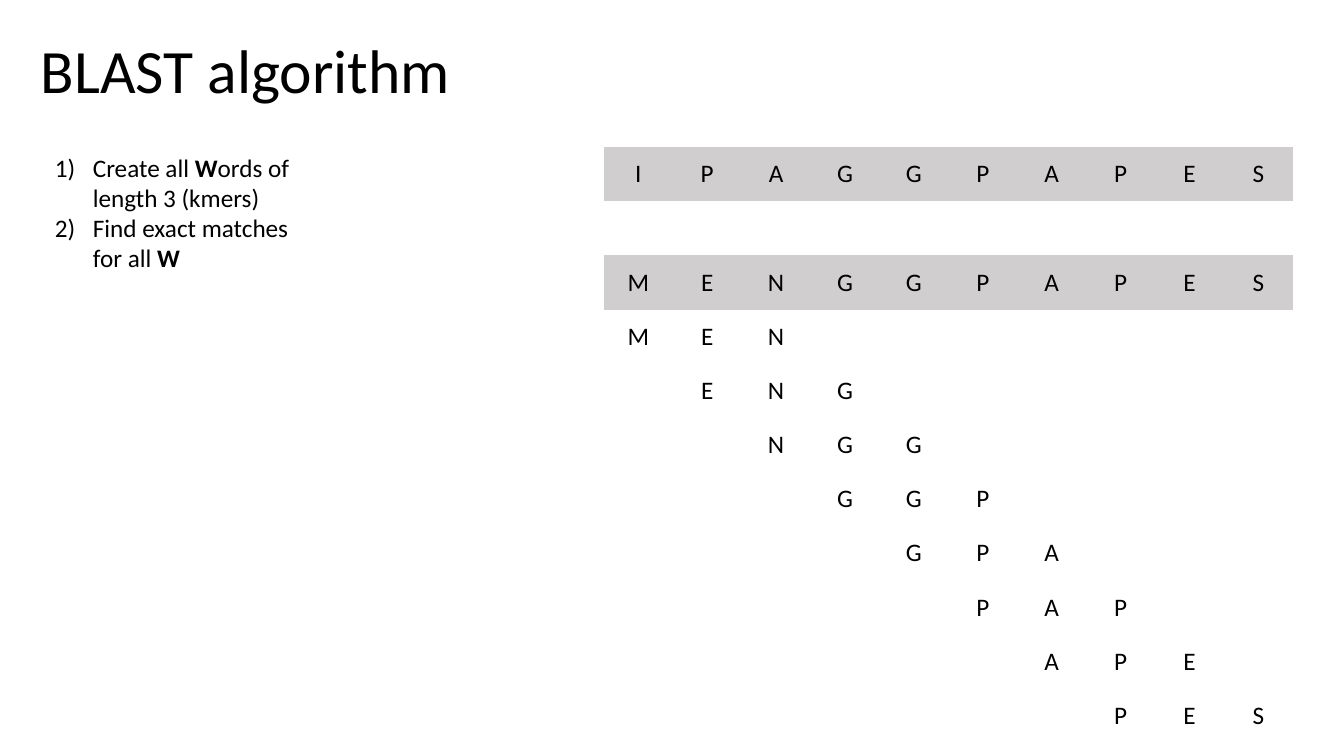
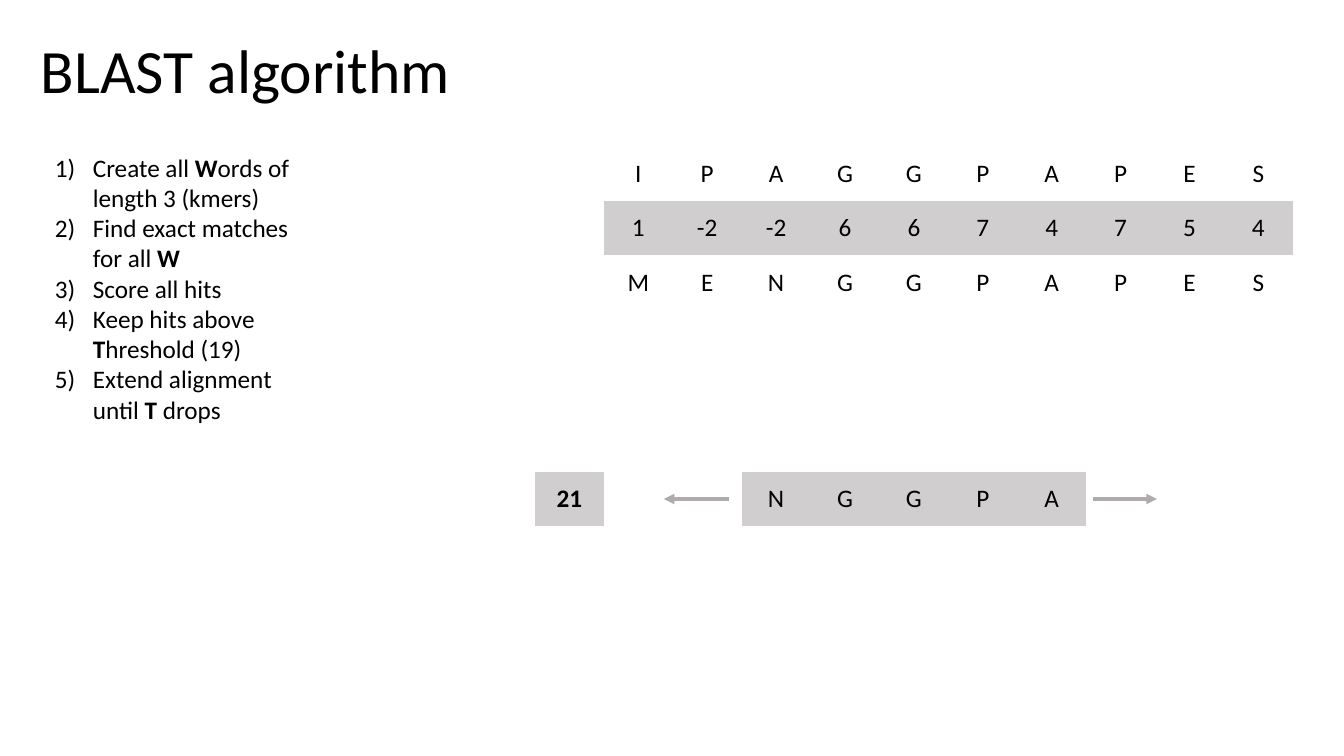
"""Build two slides that explain the BLAST algorithm on a grid of sequence letters."""
from lxml.etree import SubElement
from pptx import Presentation
from pptx.dml.color import RGBColor
from pptx.enum.shapes import MSO_CONNECTOR
from pptx.enum.text import MSO_ANCHOR, PP_ALIGN
from pptx.oxml.ns import qn
from pptx.util import Pt

SCALE = 914400 / 100.8
FONT = "Calibri"
BLACK, WHITE, GRAY, ARROW_GRAY = "000000", "FFFFFF", "D0CECE", "AFABAB"
NO_STYLE = "{2D5ABB26-0587-4C30-8999-92F81FD0307C}"
GRID_SIZE = 11
WORD_LENGTH = 3
QUERY, SUBJECT = "MENGGPAPES", "IPAGGPAPES"
SCORES = ["1", "-2", "-2", "6", "6", "7", "4", "7", "5", "4"]
STEPS = [
    "Create all *W*ords of length 3 (kmers)",
    "Find exact matches for all *W*",
    "Score all hits",
    "Keep hits above *T*hreshold (19)",
    "Extend alignment until *T* drops",
]


def px(length):
    return round(length * SCALE)


def add_runs(paragraph, text, size):
    """Add runs to a paragraph; text between asterisks is bold."""
    for index, part in enumerate(text.split("*")):
        if part:
            run = paragraph.add_run()
            run.text = part
            run.font.name = FONT
            run.font.size = Pt(size)
            run.font.bold = index % 2 == 1
            run.font.color.rgb = RGBColor.from_string(BLACK)


words = [
    (start + 3, start + 1, QUERY[start:start + WORD_LENGTH], WHITE)
    for start in range(len(QUERY) - WORD_LENGTH + 1)
]
slides = [
    {
        "steps": STEPS[:2],
        "steps_height": 132,
        "rows": [(0, 1, SUBJECT, GRAY), (2, 1, QUERY, GRAY)] + words,
        "arrows": [],
    },
    {
        "steps": STEPS,
        "steps_height": 316,
        "rows": [
            (0, 1, SUBJECT, WHITE),
            (1, 1, SCORES, GRAY),
            (2, 1, QUERY, WHITE),
            (6, 0, ["*21*"], GRAY),
            (6, 3, "NGGPA", GRAY),
        ],
        "arrows": [(664, 729, "a:headEnd"), (1093, 1157, "a:tailEnd")],
    },
]

presentation = Presentation()
presentation.slide_width = px(1344)
presentation.slide_height = px(756)

for content in slides:
    slide = presentation.slides.add_slide(presentation.slide_layouts[6])

    title = slide.shapes.add_textbox(px(31), px(1), px(1159), px(146)).text_frame
    title.word_wrap = True
    title.vertical_anchor = MSO_ANCHOR.MIDDLE
    title.paragraphs[0].line_spacing = 0.9
    add_runs(title.paragraphs[0], "BLAST algorithm", 44)

    grid = slide.shapes.add_table(GRID_SIZE, GRID_SIZE, px(535), px(147), px(758), px(596))
    for style in grid.element.iter(qn("a:tableStyleId")):
        style.text = NO_STYLE
    table = grid.table
    table.first_row = False
    table.horz_banding = False
    for cell in table.iter_cells():
        cell.fill.solid()
        cell.fill.fore_color.rgb = RGBColor.from_string(WHITE)
        cell.vertical_anchor = MSO_ANCHOR.MIDDLE
    for row, first_column, values, color in content["rows"]:
        for column, value in enumerate(values, first_column):
            cell = table.cell(row, column)
            cell.fill.fore_color.rgb = RGBColor.from_string(color)
            paragraph = cell.text_frame.paragraphs[0]
            paragraph.alignment = PP_ALIGN.CENTER
            add_runs(paragraph, value, 18)

    steps = slide.shapes.add_textbox(
        px(45), px(147), px(282), px(content["steps_height"])
    ).text_frame
    steps.word_wrap = True
    for index, step in enumerate(content["steps"]):
        paragraph = steps.add_paragraph() if index else steps.paragraphs[0]
        add_runs(paragraph, step, 18)
        properties = paragraph._p.get_or_add_pPr()
        properties.set("marL", str(px(38)))
        properties.set("indent", str(-px(38)))
        SubElement(properties, qn("a:buFont"), typeface="+mj-lt")
        SubElement(properties, qn("a:buAutoNum"), type="arabicParenR")

    for left, right, arrowhead in content["arrows"]:
        arrow = slide.shapes.add_connector(
            MSO_CONNECTOR.STRAIGHT, px(left), px(499), px(right), px(499)
        )
        arrow.line.color.rgb = RGBColor.from_string(ARROW_GRAY)
        arrow.line.width = Pt(2.5)
        SubElement(arrow.line._get_or_add_ln(), qn(arrowhead), type="triangle")
        SubElement(arrow.element.spPr, qn("a:effectLst"))

presentation.save("out.pptx")
